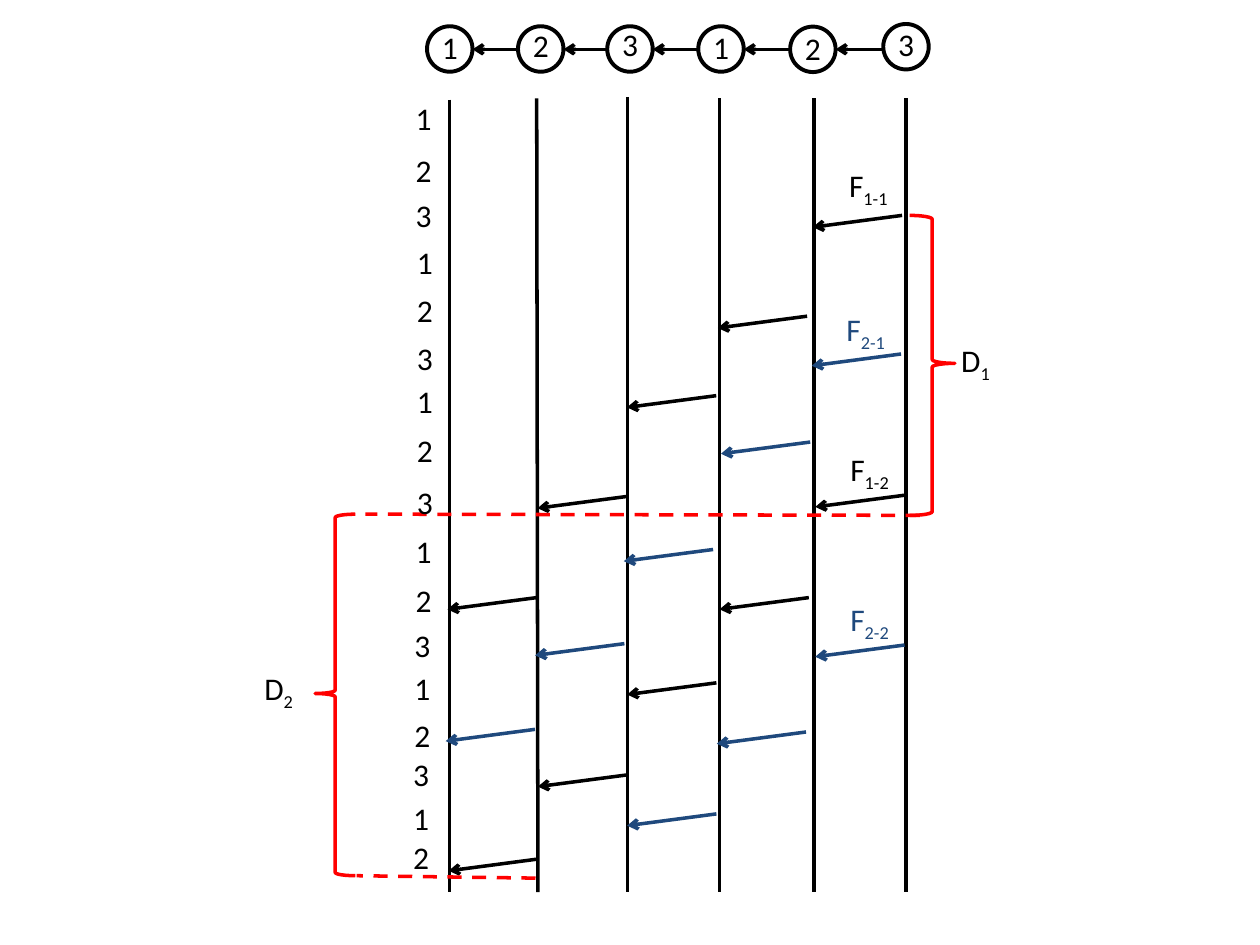
from itertools import cycle, pairwise

from pptx import Presentation
from pptx.dml.color import RGBColor
from pptx.enum.dml import MSO_LINE_DASH_STYLE as Dash
from pptx.enum.shapes import MSO_CONNECTOR as Connector, MSO_SHAPE as Shape
from pptx.enum.text import MSO_AUTO_SIZE as AutoSize
from pptx.oxml.ns import qn
from pptx.util import Pt
from lxml.etree import SubElement

BLACK, BLUE, RED, WHITE = "000000", "1F497D", "FF0000", "FFFFFF"
NODE_SIZE = 26
HOP_WIDTH, HOP_DROP = 51, 6.7
LABEL_HEIGHT = 29.1

# Node left, node top, digit top
NODES = [(244, 15, 12.2), (296, 15, 11.5), (347, 15, 10.8),
         (399, 15, 12.2), (451.5, 15.2, 13), (504.7, 13.7, 10.8)]

# Lifeline top x, top y, bottom x
LIFELINES = [(257, 56.9, 257), (306.7, 56.2, 307.4), (358.6, 55.4, 358.6),
             (411.1, 56.2, 411.1), (465.1, 56.2, 465.1), (517.7, 56.2, 517.7)]

# Step label left, then the tops of the labels that share it
STEPS = [(230.4, [53.3, 82.8, 108.7]),
         (231.1, [135.4, 162.7, 190.1, 214.6, 242.6, 272.2]),
         (230.4, [300.2, 328.3]),
         (229.7, [354.2, 378.7, 405.4]),
         (229, [427.7, 452.9, 475.2])]

# Frame number, colour, label left and top, hop starts
FRAMES = [
    ("1-1", BLACK, 478.1, 91.4,
     [(515.5, 123.1), (461.2, 180.7), (409.3, 226.1), (358.2, 283.7), (306.7, 341.5)]),
    ("2-1", BLUE, 476.6, 173.5,
     [(514.9, 202.3), (463, 252.6), (407.5, 314), (356.8, 367.8), (305.7, 416.8)]),
    ("1-2", BLACK, 478.8, 253.4,
     [(516.9, 283), (462.2, 341.5), (409.4, 390.2), (358.4, 442.8), (307.4, 490.9)]),
    ("2-2", BLUE, 478.8, 339.1,
     [(516.9, 368.6), (460.6, 418.3), (409.4, 465.1)]),
]


def rgb(colour):
    return RGBColor.from_string(colour)


def add_line(shapes, start, end, colour=BLACK, arrow=False, dashed=False):
    line = shapes.add_connector(Connector.STRAIGHT, *map(Pt, start + end))
    line.line.color.rgb = rgb(colour)
    line.line.width = Pt(2)
    if dashed:
        line.line.dash_style = Dash.DASH
    properties = line._element.spPr
    if arrow:
        SubElement(properties.find(qn("a:ln")), qn("a:tailEnd"), type="arrow")
    SubElement(properties, qn("a:effectLst"))


def add_label(shapes, left, top, width, text, subscript="", colour=BLACK, wrap=False):
    box = shapes.add_textbox(Pt(left), Pt(top), Pt(width), Pt(LABEL_HEIGHT))
    frame = box.text_frame
    frame.word_wrap = wrap
    frame.auto_size = AutoSize.SHAPE_TO_FIT_TEXT
    for part, baseline in ((text, None), (subscript, "-25000")):
        if not part:
            continue
        run = frame.paragraphs[0].add_run()
        run.text = part
        run.font.size = Pt(18)
        run.font.name = "Calibri"
        run.font.color.rgb = rgb(colour)
        if baseline:
            run.font._element.set("baseline", baseline)


def add_node(shapes, left, top, digit_top, digit):
    node = shapes.add_shape(Shape.OVAL, Pt(left), Pt(top), Pt(NODE_SIZE), Pt(NODE_SIZE))
    node.shadow.inherit = False
    node.fill.solid()
    node.fill.fore_color.rgb = rgb(WHITE)
    node.line.color.rgb = rgb(BLACK)
    node.line.width = Pt(2.25)
    add_label(shapes, left + 1.4, digit_top, 23.8, digit)


def add_brace(shapes, left, top, width, height, tip, rotation=0):
    """Brace opening to the left, or to the right when turned by 180 degrees."""
    brace = shapes.add_shape(Shape.LEFT_BRACE, Pt(left), Pt(top), Pt(width), Pt(height))
    brace.shadow.inherit = False
    brace.fill.background()
    brace.line.color.rgb = rgb(RED)
    brace.line.width = Pt(2)
    brace.adjustments[0] = 0.083
    brace.adjustments[1] = tip
    brace.rotation = rotation
    brace._element.spPr.find(qn("a:xfrm")).set("flipH", "1")


def add_node_chain(shapes):
    for (left, top, digit_top), digit in zip(NODES, cycle("123")):
        add_node(shapes, left, top, digit_top, digit)
    for (receiver, *_), (sender, *_) in pairwise(NODES):
        add_line(shapes, (sender, 28.2), (receiver + NODE_SIZE, 28.2), arrow=True)


def add_steps(shapes):
    digits = cycle("123")
    for left, tops in STEPS:
        for top in tops:
            add_label(shapes, left, top, 23.8, next(digits))


def add_frame(shapes, number, colour, left, top, hops):
    add_label(shapes, left, top, 38.9, "F", number, colour)
    for x, y in hops:
        add_line(shapes, (x, y), (x - HOP_WIDTH, y + HOP_DROP), colour, arrow=True)


def add_delays(shapes):
    add_brace(shapes, 519.8, 123.1, 25.9, 171.4, 0.493)
    add_brace(shapes, 180, 293.8, 23, 206.6, 0.504, rotation=180)
    add_line(shapes, (525.6, 294.5), (208.8, 293.8), RED, dashed=True)
    add_line(shapes, (306, 501.8), (203.8, 500.4), RED, dashed=True)
    add_label(shapes, 542.2, 191.5, 38.9, "D", "1", wrap=True)
    add_label(shapes, 144, 378.7, 40.3, "D", "2", wrap=True)


def main():
    deck = Presentation()
    deck.slide_width, deck.slide_height = Pt(720), Pt(540)
    shapes = deck.slides.add_slide(deck.slide_layouts[6]).shapes
    add_node_chain(shapes)
    for top_x, top_y, bottom_x in LIFELINES:
        add_line(shapes, (top_x, top_y), (bottom_x, 509.8))
    for frame in FRAMES:
        add_frame(shapes, *frame)
    add_delays(shapes)
    add_steps(shapes)
    deck.save("out.pptx")


if __name__ == "__main__":
    main()
